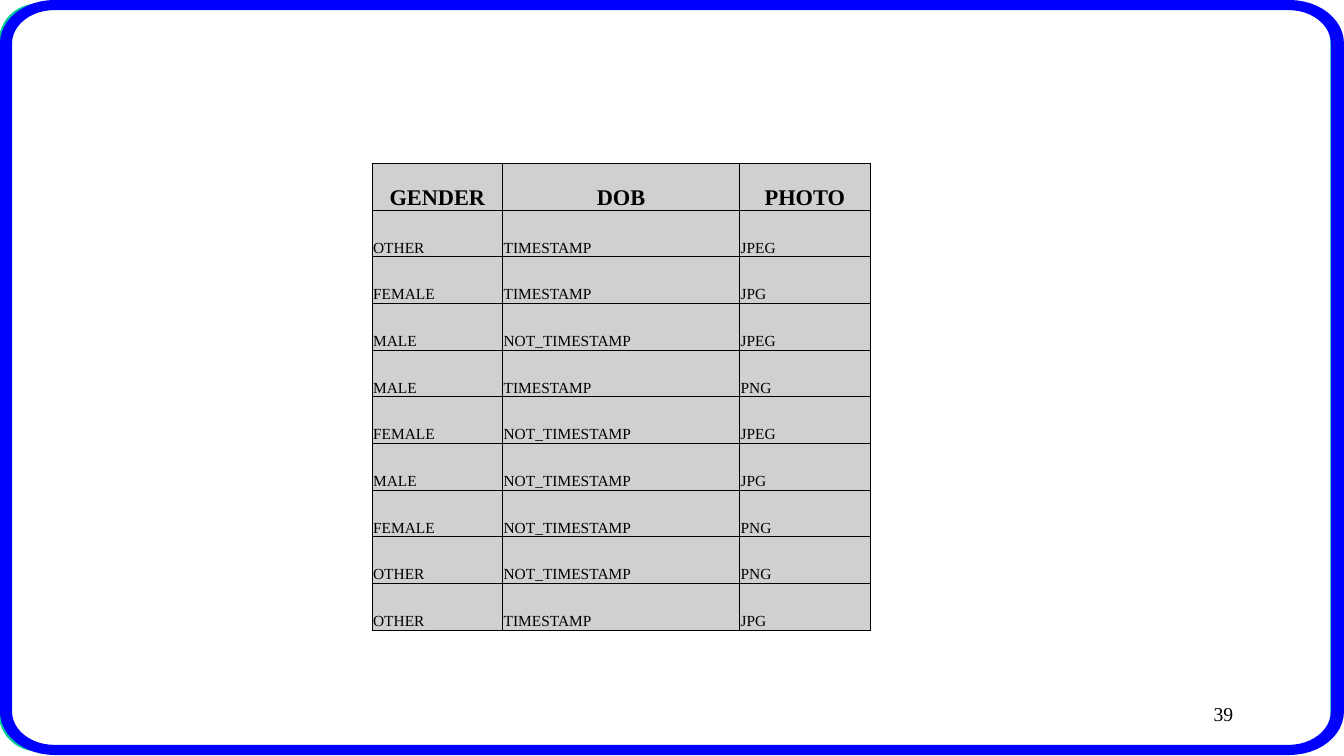
from dataclasses import dataclass
from math import cos, pi, sin

from lxml import etree
from pptx import Presentation
from pptx.dml.color import RGBColor
from pptx.enum.shapes import MSO_SHAPE
from pptx.enum.text import MSO_ANCHOR, PP_ALIGN
from pptx.oxml.ns import qn
from pptx.util import Emu, Inches, Pt

ROUNDED = MSO_SHAPE.ROUNDED_RECTANGLE
MIDDLE, BOTTOM = MSO_ANCHOR.MIDDLE, MSO_ANCHOR.BOTTOM
LEFT, CENTER, RIGHT = PP_ALIGN.LEFT, PP_ALIGN.CENTER, PP_ALIGN.RIGHT

FONT = "Times New Roman"
COLORS = {"paper": "FFFFFF", "edge": "00CC99", "frame": "0000FF",
          "cell": "D0D0D0", "ink": "000000"}
GRID_COLS, GRID_ROWS = 1333, 750
SLIDE_W, SLIDE_H = Inches(13.33), Inches(7.5)
ARC_STEPS = 12

HEADERS = ("GENDER", "DOB", "PHOTO")
RECORDS = (
    ("OTHER", "TIMESTAMP", "JPEG"),
    ("FEMALE", "TIMESTAMP", "JPG"),
    ("MALE", "NOT_TIMESTAMP", "JPEG"),
    ("MALE", "TIMESTAMP", "PNG"),
    ("FEMALE", "NOT_TIMESTAMP", "JPEG"),
    ("MALE", "NOT_TIMESTAMP", "JPG"),
    ("FEMALE", "NOT_TIMESTAMP", "PNG"),
    ("OTHER", "NOT_TIMESTAMP", "PNG"),
    ("OTHER", "TIMESTAMP", "JPG"),
)
COLUMN_WIDTHS = (129.5, 235, 129.5)


@dataclass(frozen=True)
class Box:
    left: float
    top: float
    width: float
    height: float

    def emu(self) -> tuple[Emu, Emu, Emu, Emu]:
        return cols(self.left), rows(self.top), cols(self.width), rows(self.height)


@dataclass(frozen=True)
class Contour:
    box: Box
    rx: float
    ry: float

    def points(self) -> list[tuple[int, int]]:
        b = self.box
        x0, x1 = b.left + self.rx, b.left + b.width - self.rx
        y0, y1 = b.top + self.ry, b.top + b.height - self.ry
        centers = ((x1, y1), (x0, y1), (x0, y0), (x1, y0))
        pts = []
        for corner, (cx, cy) in enumerate(centers):
            for step in range(ARC_STEPS + 1):
                angle = (corner + step / ARC_STEPS) * pi / 2
                pts.append((cols(cx + self.rx * cos(angle)),
                            rows(cy + self.ry * sin(angle))))
        return pts


@dataclass(frozen=True)
class TextStyle:
    size: int
    align: PP_ALIGN
    bold: bool = False


PANEL = Box(0, 5, 1321, 739)
FRAME = (Contour(Box(0, 0, 1333, 749), 54, 43),
         Contour(Box(12, 10, 1308, 729), 42, 33))
TABLE = Box(369, 162, 494, 463)
NUMBER = Box(955, 683, 278, 50)
HEADER_STYLE = TextStyle(16, CENTER, True)
BODY_STYLE = TextStyle(11, LEFT)
NUMBER_STYLE = TextStyle(14, RIGHT)


def cols(n: float) -> Emu:
    return Emu(round(SLIDE_W * n / GRID_COLS))


def rows(n: float) -> Emu:
    return Emu(round(SLIDE_H * n / GRID_ROWS))


def rgb(name: str) -> RGBColor:
    return RGBColor.from_string(COLORS[name])


def write(tf, text: str, style: TextStyle) -> None:
    tf.text = text
    p = tf.paragraphs[0]
    p.alignment = style.align
    font = p.runs[0].font
    font.name, font.size, font.bold = FONT, Pt(style.size), style.bold
    font.color.rgb = rgb("ink")


def add_panel(slide) -> None:
    sp = slide.shapes.add_shape(ROUNDED, *PANEL.emu())
    sp.adjustments[0] = 0.05
    sp.shadow.inherit = False
    sp.fill.solid()
    sp.fill.fore_color.rgb = rgb("paper")
    sp.line.color.rgb = rgb("edge")
    sp.line.width = Pt(2)


def add_frame(slide) -> None:
    outer, inner = (contour.points() for contour in FRAME)
    fb = slide.shapes.build_freeform(*outer[0], scale=1.0)
    fb.add_line_segments(outer[1:], close=True)
    fb.move_to(*inner[0])
    fb.add_line_segments(inner[1:], close=True)
    sp = fb.convert_to_shape()
    sp.shadow.inherit = False
    sp.fill.solid()
    sp.fill.fore_color.rgb = rgb("frame")
    sp.line.fill.background()


def add_borders(cell) -> None:
    tcPr = cell._tc.get_or_add_tcPr()
    for i, side in enumerate(("lnL", "lnR", "lnT", "lnB")):
        ln = etree.Element(qn(f"a:{side}"), w=str(Pt(0.75)))
        fill = etree.SubElement(ln, qn("a:solidFill"))
        etree.SubElement(fill, qn("a:srgbClr"), val=COLORS["ink"])
        tcPr.insert(i, ln)


def add_records(slide) -> None:
    data = (HEADERS, *RECORDS)
    table = slide.shapes.add_table(len(data), len(HEADERS), *TABLE.emu()).table
    for column, width in zip(table.columns, COLUMN_WIDTHS):
        column.width = cols(width)
    for r, record in enumerate(data):
        table.rows[r].height = rows(TABLE.height / len(data))
        for c, text in enumerate(record):
            cell = table.cell(r, c)
            cell.margin_left = cell.margin_right = cols(1)
            cell.margin_top, cell.margin_bottom = rows(1), 0
            cell.vertical_anchor = BOTTOM
            cell.fill.solid()
            cell.fill.fore_color.rgb = rgb("cell")
            add_borders(cell)
            write(cell.text_frame, text, BODY_STYLE if r else HEADER_STYLE)


def add_number(slide) -> None:
    tf = slide.shapes.add_textbox(*NUMBER.emu()).text_frame
    tf.word_wrap = True
    tf.vertical_anchor = MIDDLE
    write(tf, "39", NUMBER_STYLE)


def main() -> None:
    prs = Presentation()
    prs.slide_width, prs.slide_height = SLIDE_W, SLIDE_H
    slide = prs.slides.add_slide(prs.slide_layouts[6])
    add_panel(slide)
    add_frame(slide)
    add_number(slide)
    add_records(slide)
    prs.save("out.pptx")


if __name__ == "__main__":
    main()
